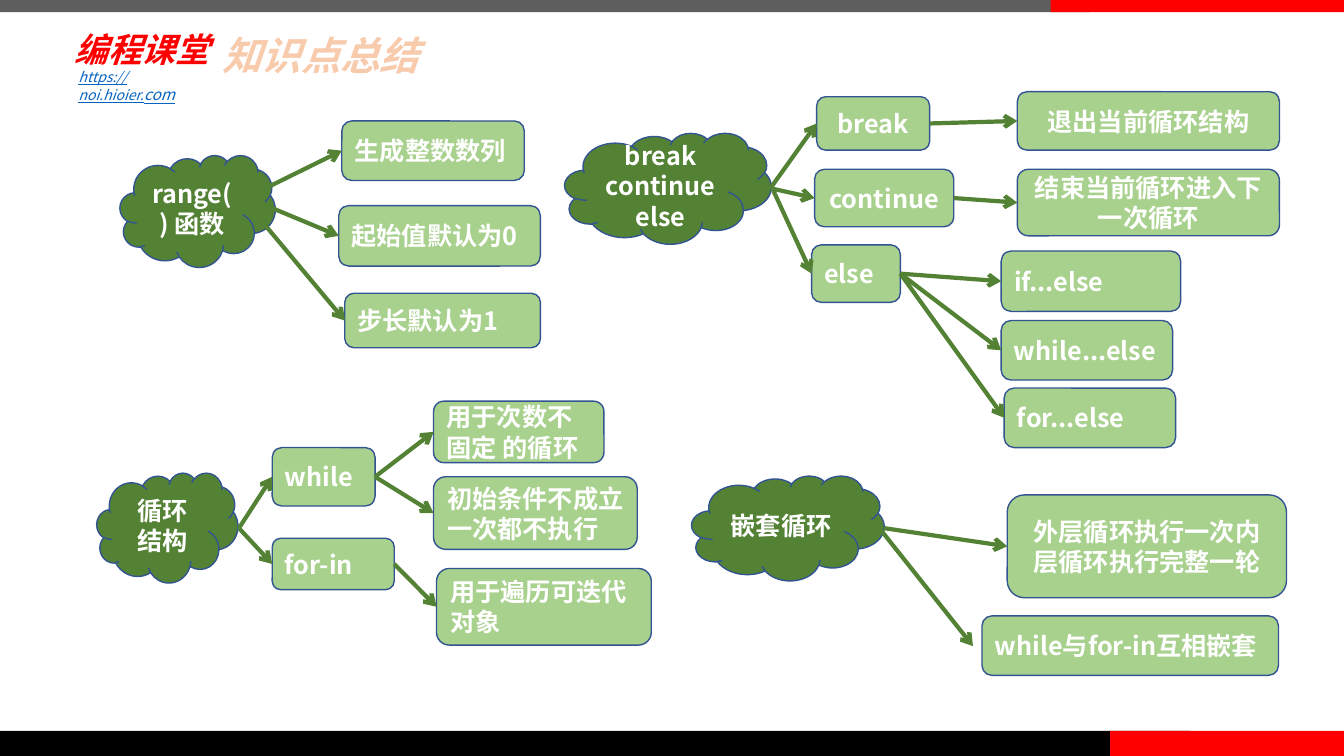
from dataclasses import dataclass

from lxml.etree import SubElement
from pptx import Presentation
from pptx.dml.color import RGBColor
from pptx.enum.shapes import MSO_CONNECTOR, MSO_SHAPE
from pptx.enum.text import MSO_ANCHOR, PP_ALIGN
from pptx.oxml import parse_xml
from pptx.oxml.ns import nsdecls, qn
from pptx.util import Inches, Pt


@dataclass(frozen=True)
class Theme:
    font: str = "Noto Sans CJK SC"
    name_font: str = "Lato"
    cloud: str = "548235"
    box: str = "A9D18E"
    outline: str = "325491"
    white: str = "FFFFFF"
    gray: str = "5E5E5E"
    black: str = "000000"
    red: str = "FF0000"
    title: str = "F8CBAD"
    title_outline: str = "ED7D31"
    link: str = "0563C1"
    title_size: float = 28
    name_size: float = 24
    body_size: float = 18
    link_size: float = 10
    link_end_size: float = 11
    arrow_width: float = 3
    outline_width: float = 1


THEME = Theme()
LEFT, CENTER = PP_ALIGN.LEFT, PP_ALIGN.CENTER

# Content: text and (left, top, width, height) in inches
TITLE = ("知识点总结", (2.11, 0.14, 3.05, 0.87))
SITE_NAME = ("编程课堂", (0.68, 0.23, 1.85, 0.52))
SITE_LINK = (("https://noi.hioier.", "com"), (0.68, 0.63, 1.6, 0.29))

CLOUDS = [
    (["range() 函数"], (1.19, 1.54, 1.54, 1.11)),
    (["循环结构"], (0.96, 4.69, 1.4, 1.09)),
    (["break", "continue", "else"], (5.6, 1.32, 2.05, 1.1)),
    (["嵌套循环"], (6.86, 4.72, 1.91, 1.04)),
]

BOXES = {
    "sequence": ("生成整数数列", (3.39, 1.2, 1.81, 0.59), LEFT),
    "start": ("起始值默认为0", (3.36, 2.04, 2, 0.6), LEFT),
    "step": ("步长默认为1", (3.42, 2.91, 1.94, 0.54), LEFT),
    "while": ("while", (2.7, 4.44, 1.02, 0.58), LEFT),
    "for-in": ("for-in", (2.7, 5.34, 1.21, 0.51), LEFT),
    "unknown count": ("用于次数不固定 的循环", (4.3, 3.98, 1.69, 0.61), LEFT),
    "never runs": ("初始条件不成立一次都不执行", (4.3, 4.73, 2.02, 0.72), LEFT),
    "iterate": ("用于遍历可迭代对象", (4.33, 5.64, 2.13, 0.76), LEFT),
    "break": ("break", (8.1, 0.96, 1.12, 0.53), CENTER),
    "continue": ("continue", (8.08, 1.68, 1.38, 0.57), CENTER),
    "else": ("else", (8.05, 2.43, 0.88, 0.57), LEFT),
    "leave loop": ("退出当前循环结构", (10.09, 0.91, 2.6, 0.58), CENTER),
    "next round": ("结束当前循环进入下一次循环", (10.09, 1.68, 2.6, 0.66), CENTER),
    "if-else": ("if...else", (9.93, 2.49, 1.78, 0.6), LEFT),
    "while-else": ("while...else", (9.93, 3.18, 1.7, 0.59), LEFT),
    "for-else": ("for...else", (9.96, 3.85, 1.7, 0.59), LEFT),
    "nested order": ("外层循环执行一次内层循环执行完整一轮", (9.99, 4.91, 2.77, 1.02), CENTER),
    "nested mix": ("while与for-in互相嵌套", (9.74, 6.11, 2.94, 0.59), LEFT),
}

# Each arrow end is a box name or a free point
ARROWS = [
    ((2.67, 1.85), "sequence"),
    ((2.64, 2.04), "start"),
    ((2.61, 2.21), "step"),
    ((2.37, 5.24), "while"),
    ((2.37, 5.24), "for-in"),
    ("while", "unknown count"),
    ("while", "never runs"),
    ("for-in", "iterate"),
    ((7.64, 1.87), "break"),
    ((7.65, 1.87), "continue"),
    ((7.67, 1.89), "else"),
    ("break", "leave loop"),
    ("continue", "next round"),
    ("else", "if-else"),
    ("else", "while-else"),
    ("else", "for-else"),
    ((8.77, 5.24), "nested order"),
    ((8.73, 5.25), (9.65, 6.41)),
]

BARS = [
    ((0, 0, 10.81, 0.12), THEME.gray),
    ((10.42, 0, 2.91, 0.12), THEME.red),
    ((0, 7.25, 11.8, 0.25), THEME.black),
    ((11.01, 7.25, 2.32, 0.25), THEME.red),
]


def inches(values):
    return [Inches(value) for value in values]


def add_run(paragraph, text, *, size=THEME.body_size, color=THEME.white, font=THEME.font,
            bold=True, italic=False, underline=False):
    run = paragraph.add_run()
    run.text = text
    run.font.size = Pt(size)
    run.font.name = font
    run.font.bold, run.font.italic, run.font.underline = bold, italic, underline
    run.font.color.rgb = RGBColor.from_string(color)
    east_asian = SubElement(run.font._element, qn("a:ea"))
    east_asian.set("typeface", THEME.font)
    return run


def add_block(slide, kind, place, fill, outline=None):
    shape = slide.shapes.add_shape(kind, *inches(place))
    shape.shadow.inherit = False
    shape.fill.solid()
    shape.fill.fore_color.rgb = RGBColor.from_string(fill)
    if outline:
        shape.line.color.rgb = RGBColor.from_string(outline)
        shape.line.width = Pt(THEME.outline_width)
    else:
        shape.line.fill.background()
    return shape


def add_node(slide, kind, lines, place, fill, align):
    shape = add_block(slide, kind, place, fill, THEME.outline)
    frame = shape.text_frame
    frame.vertical_anchor = MSO_ANCHOR.MIDDLE
    for number, line in enumerate(lines):
        paragraph = frame.add_paragraph() if number else frame.paragraphs[0]
        paragraph.alignment = align
        add_run(paragraph, line)
    return shape


def add_arrow(slide, start, end, boxes):
    start_point = (0, 0) if start in boxes else start
    end_point = (0, 0) if end in boxes else end
    arrow = slide.shapes.add_connector(
        MSO_CONNECTOR.STRAIGHT, *inches(start_point), *inches(end_point))
    if start in boxes:
        arrow.begin_connect(boxes[start], 3)
    if end in boxes:
        arrow.end_connect(boxes[end], 1)
    arrow.line.color.rgb = RGBColor.from_string(THEME.cloud)
    arrow.line.width = Pt(THEME.arrow_width)
    properties = arrow._element.spPr
    SubElement(properties.find(qn("a:ln")), qn("a:tailEnd")).set("type", "arrow")
    SubElement(properties, qn("a:effectLst"))


def add_text_box(slide, place):
    frame = slide.shapes.add_textbox(*inches(place)).text_frame
    frame.word_wrap = True
    return frame


def add_title(slide):
    text, place = TITLE
    title = slide.shapes.title
    title.left, title.top, title.width, title.height = inches(place)
    title.text_frame.vertical_anchor = MSO_ANCHOR.MIDDLE
    paragraph = title.text_frame.paragraphs[0]
    paragraph.alignment = LEFT
    paragraph.line_spacing = 0.9
    run = add_run(paragraph, text, size=THEME.title_size, color=THEME.title, italic=True)
    run.font._element.insert(0, parse_xml(
        f'<a:ln {nsdecls("a")} w="{Pt(1.75)}"><a:solidFill>'
        f'<a:srgbClr val="{THEME.title_outline}"/></a:solidFill></a:ln>'))


def add_site(slide):
    text, place = SITE_NAME
    frame = add_text_box(slide, place)
    frame.vertical_anchor = MSO_ANCHOR.MIDDLE
    frame.margin_left = frame.margin_right = Inches(0.06)
    frame.margin_top = frame.margin_bottom = Inches(0.06)
    add_run(frame.paragraphs[0], text, size=THEME.name_size, color=THEME.red,
            font=THEME.name_font, italic=True)

    parts, place = SITE_LINK
    paragraph = add_text_box(slide, place).paragraphs[0]
    for part, size in zip(parts, (THEME.link_size, THEME.link_end_size)):
        add_run(paragraph, part, size=size, color=THEME.link, bold=False,
                italic=True, underline=True)


def main():
    presentation = Presentation()
    presentation.slide_width, presentation.slide_height = inches((13.33, 7.5))
    slide = presentation.slides.add_slide(presentation.slide_layouts[5])
    add_title(slide)

    # Mind maps: clouds, boxes, then arrows
    for lines, place in CLOUDS:
        add_node(slide, MSO_SHAPE.CLOUD, lines, place, THEME.cloud, CENTER)
    boxes = {name: add_node(slide, MSO_SHAPE.ROUNDED_RECTANGLE, [text], place, THEME.box, align)
             for name, (text, place, align) in BOXES.items()}
    for start, end in ARROWS:
        add_arrow(slide, start, end, boxes)

    # Edge bars and site name
    for place, fill in BARS:
        add_block(slide, MSO_SHAPE.RECTANGLE, place, fill)
    add_site(slide)
    presentation.save("out.pptx")


if __name__ == "__main__":
    main()
